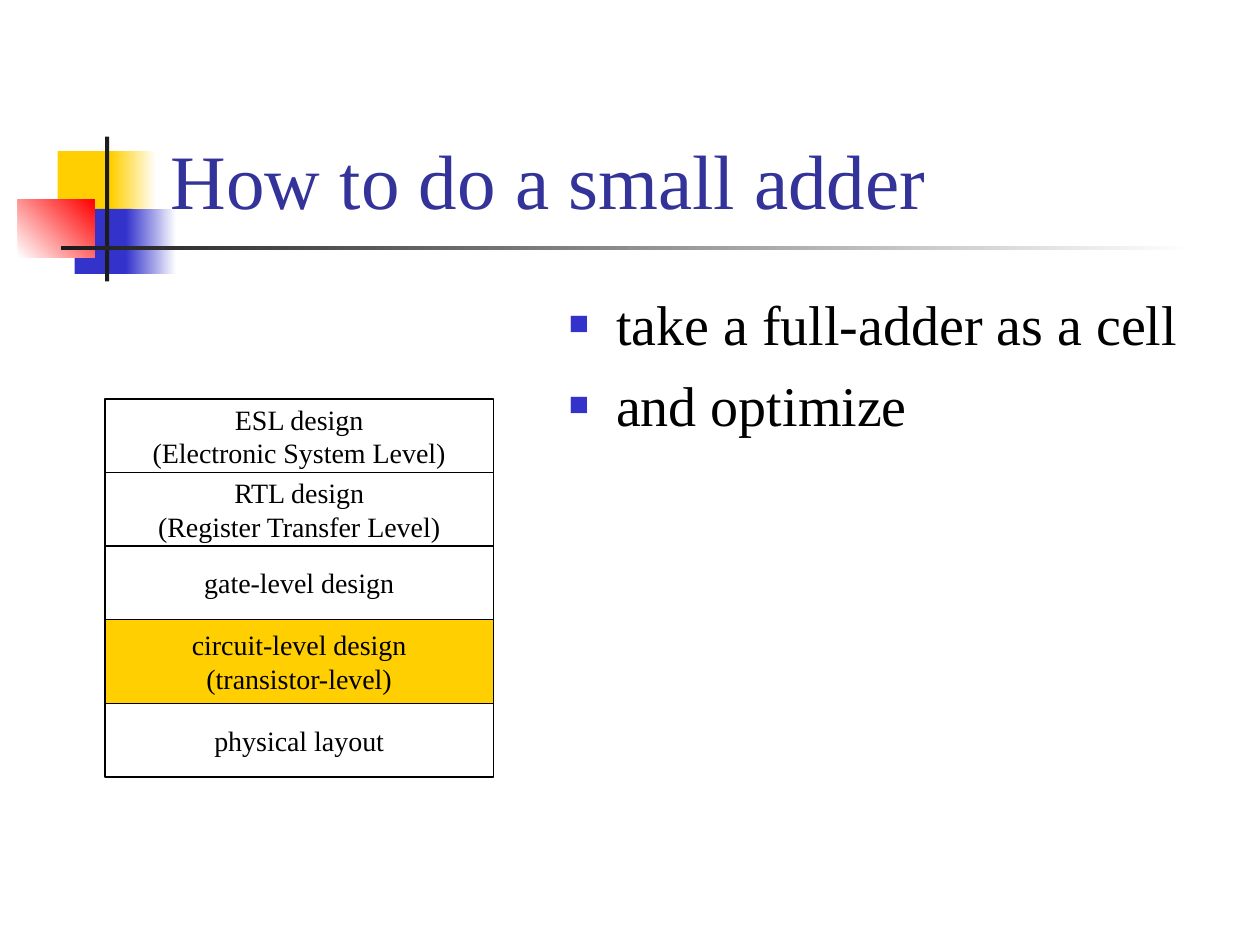
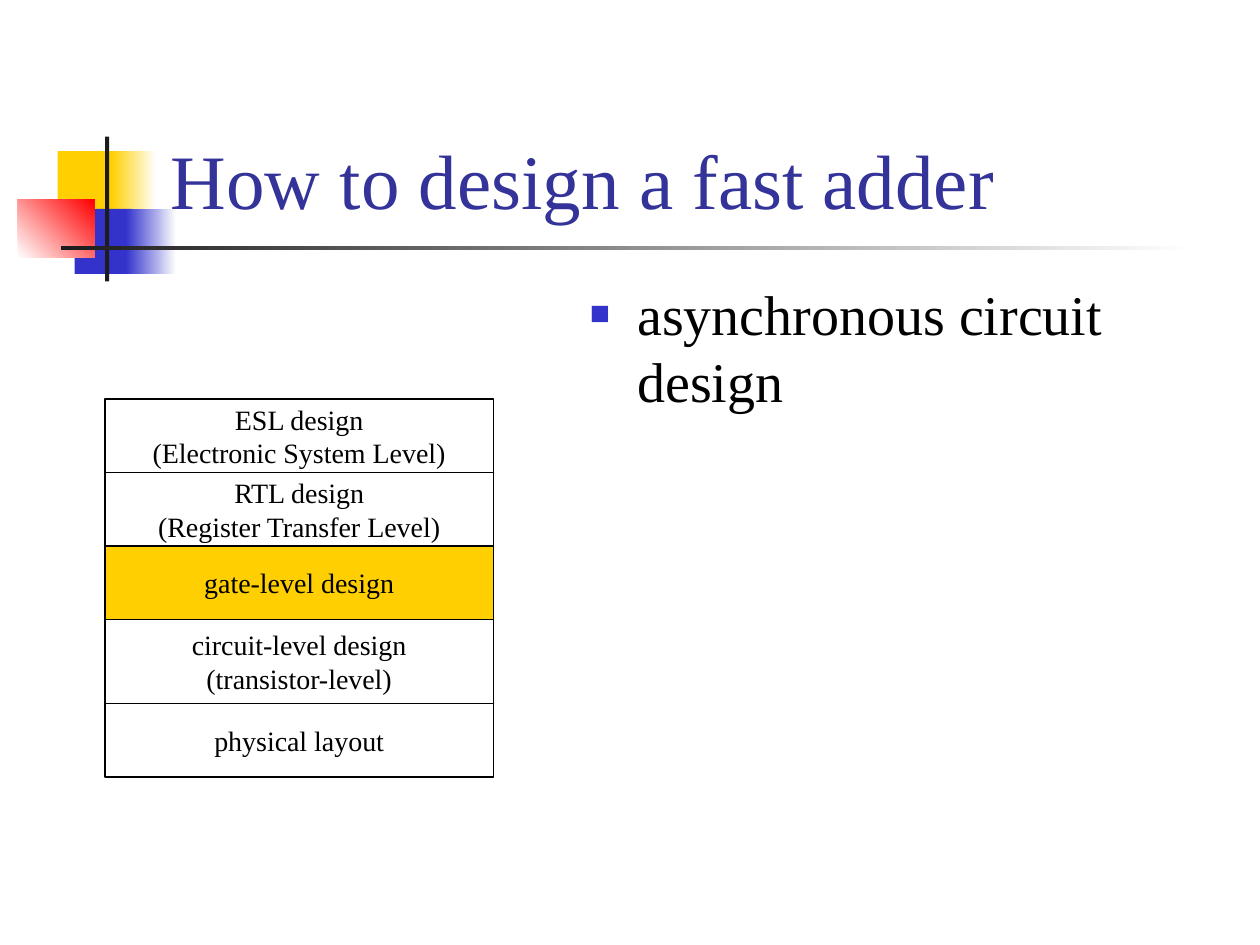
import pptx
import pptx.util
import pptx.dml.color
import pptx.enum.shapes
import pptx.enum.text
import pptx.oxml
import pptx.oxml.ns

PX = 914400 // 120
FONT = "Times New Roman"
COLORS = {
    "yellow": "FFCF01", "blue": "3333CC", "red": "FF0000", "dark": "1C1C1C",
    "white": "FFFFFF", "title": "333399", "text": "000000",
}

SLIDES = [
    {"title": "How to do a small adder", "active": "circuit-level design",
     "bullets": ["take a full-adder as a cell", "and optimize"],
     "body": (530, 270, 630, 540)},
    {"title": "How to design a fast adder", "active": "gate-level design",
     "bullets": ["asynchronous circuit design"],
     "body": (550, 260, 630, 540)},
]

# lines of text, height
LEVELS = [
    (["ESL design", "(Electronic System Level)"], 70),
    (["RTL design", "(Register Transfer Level)"], 70),
    (["gate-level design"], 70),
    (["circuit-level design", "(transistor-level)"], 80),
    (["physical layout"], 70),
]
STACK_LEFT, STACK_TOP, STACK_WIDTH = 100, 380, 370

# place, colours (two make a gradient), gradient angle
DECORATION = [
    ((55, 144, 58, 62), ["yellow"], 0),
    ((106, 144, 43, 62), ["yellow", "white"], 0),
    ((71, 199, 55, 62), ["blue"], 0),
    ((120, 199, 48, 62), ["blue", "white"], 0),
    ((17, 190, 73, 55), ["white", "red"], 45),
    ((100, 130, 4, 138), ["dark"], 0),
    ((58, 234, 1080, 4), ["dark", "white"], 0),
]
TITLE_PLACE = (151, 28, 1022, 192)

ANCHOR = pptx.enum.text.MSO_ANCHOR
ALIGN = pptx.enum.text.PP_ALIGN


def rgb(name):
    return pptx.dml.color.RGBColor.from_string(COLORS[name])


def emu(place):
    return [v * PX for v in place]


def add_rect(slide, place, fills=(), angle=0):
    s = slide.shapes.add_shape(pptx.enum.shapes.MSO_SHAPE.RECTANGLE, *emu(place))
    s.shadow.inherit = False
    s.line.fill.background()
    if len(fills) == 2:
        s.fill.gradient()
        s.fill.gradient_angle = angle
        for stop, name in zip(s.fill.gradient_stops, fills):
            stop.color.rgb = rgb(name)
    elif fills:
        s.fill.solid()
        s.fill.fore_color.rgb = rgb(fills[0])
    else:
        s.fill.background()
    return s


def add_bullet(p):
    pPr = p._p.get_or_add_pPr()
    indent = 45 * PX
    pPr.set("marL", str(indent))
    pPr.set("indent", str(-indent))
    color = pptx.oxml.ns.qn("a:buClr")
    for tag, attrs in (("a:buClr", {}), ("a:buSzPct", {"val": "60000"}),
                       ("a:buFont", {"typeface": FONT}), ("a:buChar", {"char": "■"})):
        el = pPr.makeelement(pptx.oxml.ns.qn(tag), attrs)
        pPr.append(el)
        if el.tag == color:
            el.append(el.makeelement(pptx.oxml.ns.qn("a:srgbClr"), {"val": COLORS["blue"]}))


def write(tf, lines, size, color="text", align=ALIGN.LEFT, bullets=False, gap=0):
    for i, line in enumerate(lines):
        p = tf.paragraphs[0] if i == 0 else tf.add_paragraph()
        p.alignment = align
        if i and gap:
            p.space_before = pptx.util.Pt(gap)
        if bullets:
            add_bullet(p)
        r = p.add_run()
        r.text = line
        for key, value in {"name": FONT, "size": pptx.util.Pt(size)}.items():
            setattr(r.font, key, value)
        r.font.color.rgb = rgb(color)


def add_text(slide, place, lines, size, anchor=ANCHOR.TOP, **style):
    tf = slide.shapes.add_textbox(*emu(place)).text_frame
    tf.word_wrap = True
    tf.vertical_anchor = anchor
    write(tf, lines, size, **style)


def add_level_stack(slide, active):
    top = STACK_TOP
    for lines, height in LEVELS:
        fills = ["yellow"] if lines[0] == active else []
        s = add_rect(slide, (STACK_LEFT, top, STACK_WIDTH, height), fills)
        s.line.color.rgb = rgb("text")
        s.line.width = pptx.util.Pt(0.75)
        tf = s.text_frame
        tf.word_wrap = False
        tf.vertical_anchor = ANCHOR.MIDDLE
        write(tf, lines, 16, align=ALIGN.CENTER)
        top += height


def main():
    prs = pptx.Presentation()
    prs.slide_width, prs.slide_height = emu((1200, 900))
    for content in SLIDES:
        slide = prs.slides.add_slide(prs.slide_layouts[6])
        for place, fills, angle in DECORATION:
            add_rect(slide, place, fills, angle)
        add_text(slide, TITLE_PLACE, [content["title"]], 44, ANCHOR.BOTTOM, color="title")
        add_text(slide, content["body"], content["bullets"], 32, bullets=True, gap=8)
        add_level_stack(slide, content["active"])
    prs.save("out.pptx")


if __name__ == "__main__":
    main()
